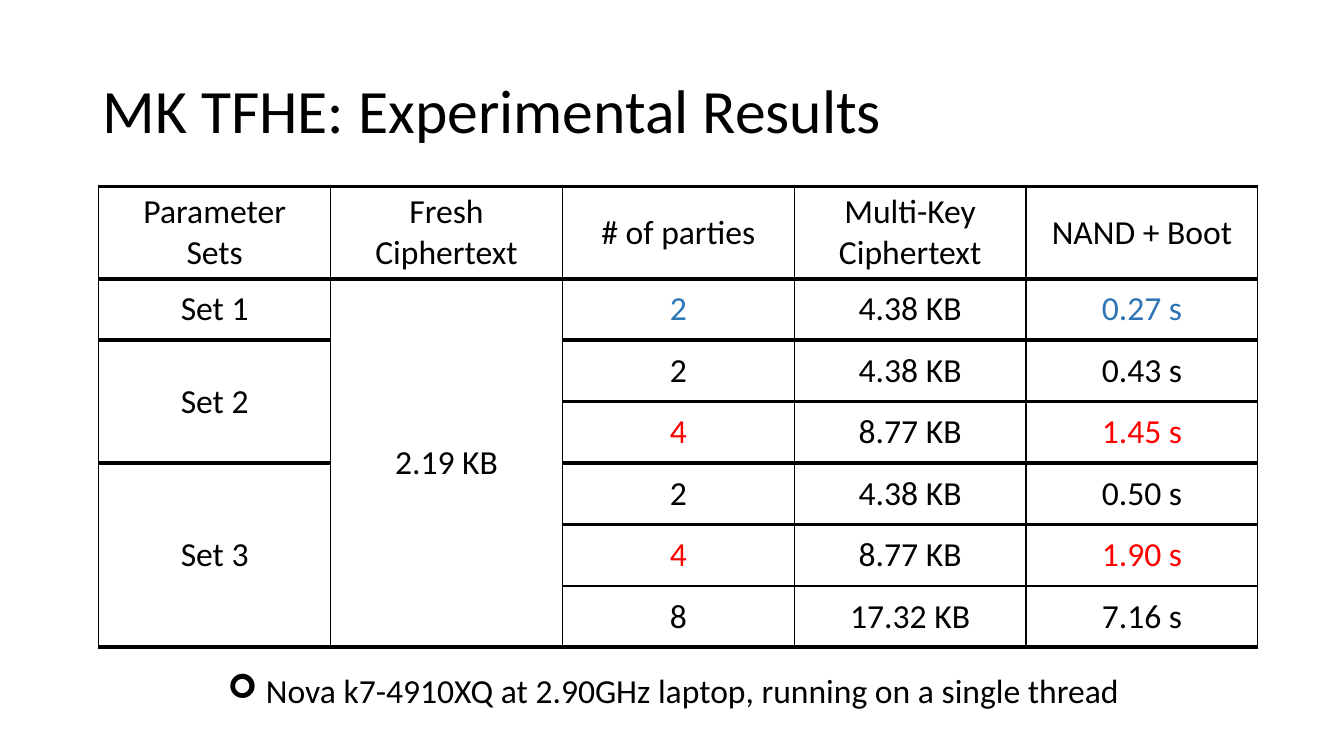
from lxml import etree
from pptx import Presentation, util as u
from pptx.dml.color import RGBColor
from pptx.enum import text
from pptx.oxml.ns import qn

BLACK = RGBColor(0x00, 0x00, 0x00)
BLUE = RGBColor(0x2E, 0x75, 0xB6)
RED = RGBColor(0xFF, 0x00, 0x00)

HEADER = ["Parameter\nSets", "Fresh\nCiphertext", "# of parties",
          "Multi-Key\nCiphertext", "NAND + Boot"]
RESULTS = [
    ["Set 1", "2.19 KB", "2", "4.38 KB", "0.27 s"],
    ["Set 2", "", "2", "4.38 KB", "0.43 s"],
    ["", "", "4", "8.77 KB", "1.45 s"],
    ["Set 3", "", "2", "4.38 KB", "0.50 s"],
    ["", "", "4", "8.77 KB", "1.90 s"],
    ["", "", "8", "17.32 KB", "7.16 s"],
]
MERGES = [(1, 1, 6), (0, 2, 3), (0, 4, 6)]
HIGHLIGHTS = {1: BLUE, 3: RED, 5: RED}
HIGHLIGHT_COLUMNS = (2, 4)
THIN, THICK = 1, 3
THIN_RULE = 6


class Deck:
    font = "Calibri"
    body_size = 24

    def __init__(self):
        self.prs = Presentation()
        self.prs.slide_width = u.Inches(13.33)
        self.prs.slide_height = u.Inches(7.5)
        self.s = self.prs.slides.add_slide(self.prs.slide_layouts[6])

    def x(self, percent):
        return u.Emu(round(self.prs.slide_width * percent / 100))

    def y(self, percent):
        return u.Emu(round(self.prs.slide_height * percent / 100))

    def style(self, tf, size, color=BLACK):
        for p in tf.paragraphs:
            for r in p.runs:
                r.font.name = self.font
                r.font.size = u.Pt(size)
                r.font.color.rgb = color

    def textbox(self, words, left, top, width, height, size):
        sp = self.s.shapes.add_textbox(self.x(left), self.y(top), self.x(width), self.y(height))
        tf = sp.text_frame
        tf.word_wrap = True
        tf.text = words
        self.style(tf, size)
        return tf

    def title(self, words, left, top, width, height):
        tf = self.textbox(words, left, top, width, height, 44)
        tf.vertical_anchor = text.MSO_ANCHOR.MIDDLE
        tf.paragraphs[0].line_spacing = 0.9

    def bullet(self, words, left, top, width, height):
        tf = self.textbox(words, left, top, width, height, self.body_size)
        pPr = tf.paragraphs[0]._p.get_or_add_pPr()
        indent = u.Inches(0.38)
        pPr.set("marL", str(indent))
        pPr.set("indent", str(-indent))
        etree.SubElement(pPr, qn("a:buFont"), typeface="Wingdings")
        etree.SubElement(pPr, qn("a:buChar"), char="➢")

    def borders(self, cell, top, bottom):
        tcPr = cell._tc.get_or_add_tcPr()
        widths = {"a:lnL": THIN, "a:lnR": THIN, "a:lnT": top, "a:lnB": bottom}
        for i, (tag, width) in enumerate(widths.items()):
            ln = etree.Element(qn(tag), w=str(u.Pt(width)))
            fill = etree.SubElement(ln, qn("a:solidFill"))
            etree.SubElement(fill, qn("a:srgbClr"), val=str(BLACK))
            tcPr.insert(i, ln)

    def table(self, rows, left, top, width, header_height, row_height):
        height = header_height + row_height * (len(rows) - 1)
        tbl = self.s.shapes.add_table(len(rows), len(rows[0]), self.x(left), self.y(top),
                                      self.x(width), self.y(height)).table
        tbl.first_row = tbl.horz_banding = False
        rules = [THIN if i == THIN_RULE else THICK for i in range(len(rows) + 1)]
        for i, row in enumerate(rows):
            tbl.rows[i].height = self.y(row_height if i else header_height)
            for j, words in enumerate(row):
                cell = tbl.cell(i, j)
                cell.fill.background()
                self.borders(cell, rules[i], rules[i + 1])
                cell.vertical_anchor = text.MSO_ANCHOR.MIDDLE
                tf = cell.text_frame
                tf.text = words
                for p in tf.paragraphs:
                    p.alignment = text.PP_ALIGN.CENTER
                color = HIGHLIGHTS.get(i, BLACK) if j in HIGHLIGHT_COLUMNS else BLACK
                self.style(tf, self.body_size, color)
        for column, first, last in MERGES:
            tbl.cell(first, column).merge(tbl.cell(last, column))


def main():
    deck = Deck()
    deck.title("MK TFHE: Experimental Results", 6.9, 5.33, 86.25, 19.33)
    deck.table([HEADER] + RESULTS, 7.35, 24.67, 86.25, 12.2, 8.13)
    deck.bullet("Nova k7-4910XQ at 2.90GHz laptop, running on a single thread",
                16.2, 88, 71.3, 6.67)
    deck.prs.save("out.pptx")


if __name__ == "__main__":
    main()
